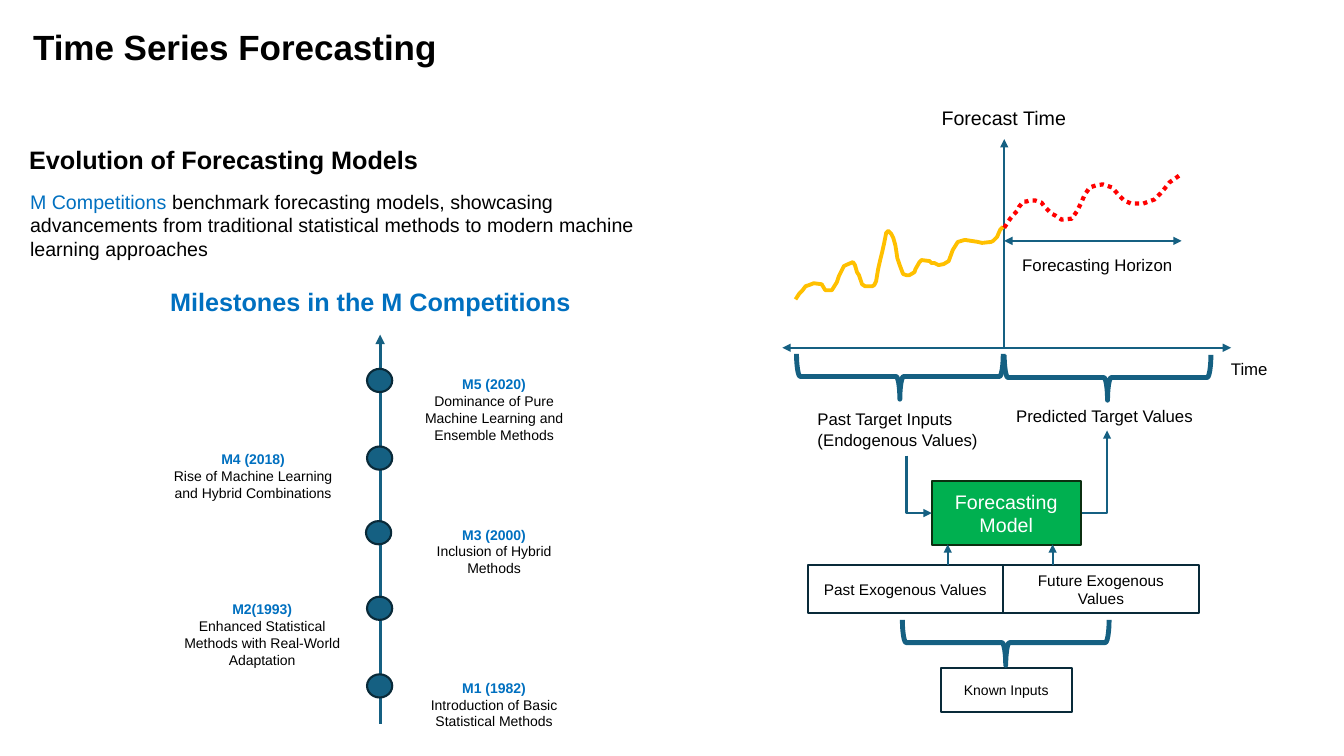
"""Build the time series forecasting slide."""
from dataclasses import dataclass
from typing import NamedTuple

from lxml import etree
from pptx import Presentation
from pptx.dml.color import RGBColor
from pptx.enum.dml import MSO_LINE
from pptx.enum.shapes import MSO_CONNECTOR, MSO_SHAPE
from pptx.enum.text import MSO_AUTO_SIZE, PP_ALIGN
from pptx.oxml.ns import qn
from pptx.util import Emu, Pt

EMU_PER_PX = 9144
RECTANGLE, OVAL, BRACE = MSO_SHAPE.RECTANGLE, MSO_SHAPE.OVAL, MSO_SHAPE.LEFT_BRACE
STRAIGHT, ELBOW = MSO_CONNECTOR.STRAIGHT, MSO_CONNECTOR.ELBOW
LEFT, CENTER = PP_ALIGN.LEFT, PP_ALIGN.CENTER
DOTTED = MSO_LINE.ROUND_DOT
GROW = MSO_AUTO_SIZE.SHAPE_TO_FIT_TEXT


@dataclass(frozen=True)
class Theme:
    font: str = "Arial"
    black: str = "000000"
    white: str = "FFFFFF"
    accent: str = "0070C0"
    teal: str = "156082"
    navy: str = "092A39"
    green: str = "00B050"
    dark_green: str = "0B2F10"
    gold: str = "FFC000"
    red: str = "FF0000"
    title: int = 25
    heading: int = 18
    body: int = 14
    label: int = 12
    box: int = 11
    small: int = 10
    thin: float = 1.5
    timeline: float = 2.25
    history: float = 2.75
    forecast: float = 3
    brace: float = 3.5


THEME = Theme()


class Frame(NamedTuple):
    left: int
    top: int
    width: int
    height: int


class Label(NamedTuple):
    text: str
    frame: Frame
    size: int
    color: str = THEME.black
    bold: bool = False


class Box(NamedTuple):
    text: str
    frame: Frame
    size: int
    outline: str = THEME.navy
    fill: str | None = None
    color: str = THEME.black


class Arrow(NamedTuple):
    start: tuple[int, int]
    end: tuple[int, int]
    ends: tuple[str, ...] = ("tailEnd",)
    width: float = THEME.thin
    kind: int = STRAIGHT
    rotation: int = 0


class Curve(NamedTuple):
    points: list[tuple[int, int]]
    color: str
    width: float
    dash: int | None = None


class Milestone(NamedTuple):
    name: str
    detail: str
    frame: Frame
    dot: tuple[int, int]


LABELS = [
    Label("Past Target Inputs (Endogenous Values)", Frame(801, 401, 196, 50), THEME.label),
    Label("Predicted Target Values", Frame(998, 398, 196, 30), THEME.label),
    Label("Forecast Time", Frame(924, 100, 208, 34), THEME.body),
    Label("Time", Frame(1211, 351, 82, 30), THEME.label),
    Label("Forecasting Horizon", Frame(1004, 248, 186, 30), THEME.label),
    Label("Evolution of Forecasting Models", Frame(19, 138, 752, 40), THEME.heading, bold=True),
    Label("Milestones in the M Competitions", Frame(159, 279, 667, 40), THEME.heading, THEME.accent, True),
]
BOXES = [
    Box("Forecasting Model", Frame(924, 477, 148, 64), THEME.body, THEME.dark_green, THEME.green, THEME.white),
    Box("Past Exogenous Values", Frame(801, 561, 194, 47), THEME.box),
    Box("Future Exogenous Values", Frame(995, 561, 194, 47), THEME.box),
    Box("Known Inputs", Frame(933, 663, 130, 43), THEME.small),
]
BRACES = [Frame(870, 271, 45, 205), Frame(1076, 272, 45, 205), Frame(975, 535, 45, 205)]
ARROWS = [
    Arrow((776, 345), (1221, 345), ("headEnd", "tailEnd")),
    Arrow((996, 345), (996, 138)),
    Arrow((996, 239), (1172, 239), ("headEnd", "tailEnd")),
    Arrow((940, 561), (940, 540)),
    Arrow((1044, 561), (1044, 540)),
    Arrow((940, 468), (883, 493), kind=ELBOW, rotation=270),
    Arrow((1073, 509), (1098, 427), kind=ELBOW),
    Arrow((377, 332), (377, 718), ("headEnd",), THEME.timeline),
]
CURVES = [
    Curve([
        (789, 297), (793, 291), (796, 288), (799, 284), (802, 283), (807, 281), (815, 282),
        (818, 287), (819, 288), (825, 288), (830, 280), (832, 274), (835, 268), (837, 264),
        (839, 263), (846, 260), (848, 263), (850, 270), (852, 273), (855, 282), (858, 284),
        (865, 284), (867, 283), (869, 279), (871, 267), (873, 258), (875, 250), (877, 241),
        (879, 231), (881, 229), (884, 232), (886, 236), (888, 243), (889, 249), (890, 256),
        (892, 262), (895, 270), (896, 272), (899, 273), (902, 273), (907, 270), (908, 267),
        (912, 260), (914, 258), (922, 259), (924, 261), (927, 261), (931, 263), (936, 262),
        (941, 259), (945, 248), (950, 240), (957, 238), (970, 240), (974, 241), (983, 240),
        (985, 239), (989, 235), (992, 228), (995, 225),
    ], THEME.gold, THEME.history),
    Curve([
        (996, 226), (1002, 217), (1009, 209), (1011, 205), (1015, 200), (1018, 200),
        (1021, 199), (1027, 199), (1033, 201), (1036, 205), (1040, 209), (1043, 212),
        (1047, 214), (1053, 218), (1063, 217), (1068, 210), (1073, 200), (1076, 193),
        (1081, 186), (1087, 184), (1094, 183), (1100, 185), (1103, 186), (1110, 194),
        (1115, 199), (1122, 202), (1134, 202), (1145, 198), (1151, 192), (1157, 185),
        (1160, 181), (1170, 174), (1172, 173),
    ], THEME.red, THEME.forecast, DOTTED),
]
MILESTONES = [
    Milestone("M1 (1982)", "Introduction of Basic Statistical Methods", Frame(395, 669, 190, 61), (364, 669)),
    Milestone("M2(1993)", "Enhanced Statistical Methods with Real-World Adaptation",
              Frame(165, 591, 190, 77), (364, 592)),
    Milestone("M3 (2000)", "Inclusion of Hybrid Methods", Frame(395, 517, 190, 61), (363, 517)),
    Milestone("M4 (2018)", "Rise of Machine Learning and Hybrid Combinations",
              Frame(156, 442, 190, 61), (364, 443)),
    Milestone("M5 (2020)", "Dominance of Pure Machine Learning and Ensemble Methods",
              Frame(395, 368, 190, 77), (364, 366)),
]


def px(*lengths: int) -> list[Emu]:
    return [Emu(length * EMU_PER_PX) for length in lengths]


def write(paragraph, text: str, *, size: int, color: str = THEME.black,
          bold: bool = False, align: int = LEFT) -> None:
    paragraph.alignment = align
    run = paragraph.add_run()
    run.text = text
    run.font.name, run.font.size, run.font.bold = THEME.font, Pt(size), bold
    run.font.color.rgb = RGBColor.from_string(color)


def stroke(line, color: str, width: float) -> None:
    line.color.rgb = RGBColor.from_string(color)
    line.width = Pt(width)


def add_text_frame(slide, frame: Frame):
    text_frame = slide.shapes.add_textbox(*px(*frame)).text_frame
    text_frame.word_wrap = True
    text_frame.auto_size = GROW
    return text_frame


def add_label(slide, label: Label):
    paragraph = add_text_frame(slide, label.frame).paragraphs[0]
    write(paragraph, label.text, size=label.size, color=label.color, bold=label.bold)
    return paragraph


def add_outline(slide, kind: int, frame: Frame, color: str, width: float, fill: str | None = None):
    shape = slide.shapes.add_shape(kind, *px(*frame))
    shape.shadow.inherit = False
    stroke(shape.line, color, width)
    if fill:
        shape.fill.solid()
        shape.fill.fore_color.rgb = RGBColor.from_string(fill)
    else:
        shape.fill.background()
    return shape


def add_box(slide, box: Box) -> None:
    shape = add_outline(slide, RECTANGLE, box.frame, box.outline, THEME.thin, box.fill)
    shape.text_frame.word_wrap = True
    write(shape.text_frame.paragraphs[0], box.text, size=box.size, color=box.color, align=CENTER)


def add_arrow(slide, arrow: Arrow) -> None:
    connector = slide.shapes.add_connector(arrow.kind, *px(*arrow.start, *arrow.end))
    stroke(connector.line, THEME.teal, arrow.width)
    properties = connector._element.spPr
    for end in arrow.ends:
        etree.SubElement(properties.find(qn("a:ln")), qn(f"a:{end}"), type="triangle")
    etree.SubElement(properties, qn("a:effectLst"))
    if arrow.kind == ELBOW:
        properties.find(qn("a:prstGeom")).set("prst", "bentConnector2")
        properties.find(qn("a:xfrm")).set("rot", str(arrow.rotation * 60000))


def add_curve(slide, curve: Curve) -> None:
    builder = slide.shapes.build_freeform(*curve.points[0], scale=EMU_PER_PX)
    builder.add_line_segments(curve.points[1:], close=False)
    shape = builder.convert_to_shape()
    shape.shadow.inherit = False
    shape.fill.background()
    stroke(shape.line, curve.color, curve.width)
    if curve.dash:
        shape.line.dash_style = curve.dash


def add_milestone(slide, milestone: Milestone) -> None:
    add_outline(slide, OVAL, Frame(*milestone.dot, 25, 23), THEME.navy, THEME.thin, THEME.teal)
    text_frame = add_text_frame(slide, milestone.frame)
    write(text_frame.paragraphs[0], milestone.name, size=THEME.small, color=THEME.accent, bold=True, align=CENTER)
    write(text_frame.add_paragraph(), milestone.detail, size=THEME.small, align=CENTER)


def main() -> None:
    presentation = Presentation()
    presentation.slide_width, presentation.slide_height = px(1333, 750)
    slide = presentation.slides.add_slide(presentation.slide_layouts[6])
    title = add_label(slide, Label("Time Series Forecasting", Frame(23, 25, 1174, 48), THEME.title, bold=True))
    title.line_spacing, title.space_after = 0.9, Pt(6)
    for box in BOXES:
        add_box(slide, box)
    for frame in BRACES:
        add_outline(slide, BRACE, frame, THEME.teal, THEME.brace).rotation = 270
    for arrow in ARROWS:
        add_arrow(slide, arrow)
    for curve in CURVES:
        add_curve(slide, curve)
    for label in LABELS:
        add_label(slide, label)
    intro = add_label(slide, Label("M Competitions", Frame(20, 183, 667, 81), THEME.body, THEME.accent))
    write(intro, " benchmark forecasting models, showcasing advancements from traditional "
          "statistical methods to modern machine learning approaches", size=THEME.body)
    for milestone in MILESTONES:
        add_milestone(slide, milestone)
    presentation.save("out.pptx")


if __name__ == "__main__":
    main()
